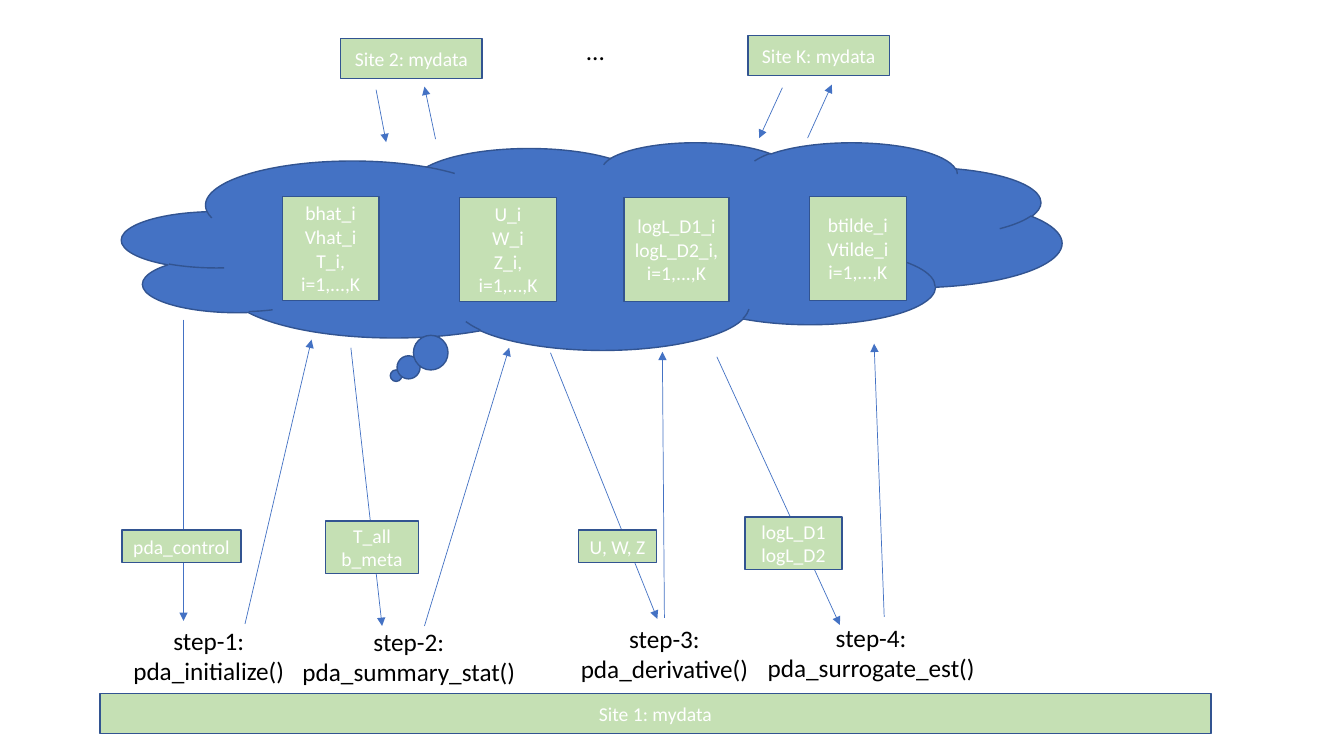
from pptx import Presentation
from pptx.dml.color import RGBColor
from pptx.enum.shapes import MSO_CONNECTOR, MSO_SHAPE
from pptx.enum.text import MSO_ANCHOR, MSO_AUTO_SIZE, PP_ALIGN
from pptx.oxml.ns import qn
from pptx.util import Inches, Pt
from lxml.etree import SubElement

BLUE = RGBColor(0x44, 0x72, 0xC4)
NAVY = RGBColor(0x32, 0x54, 0x91)
GREEN = RGBColor(0xC5, 0xE0, 0xB4)
WHITE = RGBColor(0xFF, 0xFF, 0xFF)
BLACK = RGBColor(0x00, 0x00, 0x00)

# Left, top, width, height, text; "\v" breaks a line within a paragraph
SITES = [
    (0.99, 6.88, 11.02, 0.4, "Site 1: mydata"),
    (3.38, 0.38, 1.4, 0.4, "Site 2: mydata"),
    (7.42, 0.35, 1.4, 0.4, "Site K: mydata"),
]
RESULTS = [
    (2.8, 1.95, 0.96, 1.03, "bhat_i\vVhat_i\vT_i,\ni=1,...,K"),
    (4.56, 1.96, 0.96, 1.03, "U_i\vW_i\vZ_i,\ni=1,...,K"),
    (6.19, 1.96, 1.04, 1.03, "logL_D1_i\vlogL_D2_i,\ni=1,...,K"),
    (8.03, 1.95, 0.96, 1.03, "btilde_i\vVtilde_i\ni=1,...,K"),
]
INPUTS = [
    (1.21, 5.26, 1.18, 0.32, "pda_control"),
    (3.23, 5.17, 0.92, 0.52, "T_all\nb_meta"),
    (5.74, 5.26, 0.77, 0.32, "U, W, Z"),
    (7.39, 5.13, 0.96, 0.52, "logL_D1\nlogL_D2"),
]
LABELS = [
    (1.21, 6.15, 1.72, 0.71, "step-1:\npda_initialize()"),
    (2.89, 6.16, 2.33, 0.71, "step-2:\npda_summary_stat()"),
    (5.65, 6.13, 1.88, 0.71, "step-3:\npda_derivative()"),
    (7.5, 6.12, 2.28, 0.71, "step-4:\npda_surrogate_est()"),
    (5.71, 0.3, 0.39, 0.4, "..."),
]
# Start x, start y, end x, end y
STEP_ARROWS = [
    (1.82, 3.17, 1.82, 6.16), (2.43, 6.19, 3.09, 3.37),
    (3.48, 3.45, 3.79, 6.21), (4.21, 6.21, 5.05, 3.45),
    (5.46, 3.5, 6.52, 6.14), (6.59, 6.13, 6.57, 3.49),
    (7.11, 3.54, 8.33, 6.2), (8.77, 6.12, 8.67, 3.41),
]
SITE_ARROWS = [
    (3.73, 0.89, 3.83, 1.41), (4.32, 1.38, 4.21, 0.86),
    (7.76, 0.87, 7.53, 1.37), (8.01, 1.37, 8.25, 0.84),
]


def write(frame, text, size, color):
    frame.text = text
    for para in frame.paragraphs:
        para.alignment = PP_ALIGN.CENTER
        para.font.name = "Calibri"
        para.font.size = Pt(size)
        para.font.color.rgb = color


def add_block(slide, kind, fill, left, top, width, height):
    block = slide.shapes.add_shape(
        kind, Inches(left), Inches(top), Inches(width), Inches(height))
    block.shadow.inherit = False
    block.fill.solid()
    block.fill.fore_color.rgb = fill
    block.line.color.rgb = NAVY
    block.line.width = Pt(1)
    return block


def add_box(slide, left, top, width, height, text):
    box = add_block(slide, MSO_SHAPE.RECTANGLE, GREEN, left, top, width, height)
    box.text_frame.vertical_anchor = MSO_ANCHOR.MIDDLE
    write(box.text_frame, text, 14, WHITE)


def add_label(slide, left, top, width, height, text):
    label = slide.shapes.add_textbox(
        Inches(left), Inches(top), Inches(width), Inches(height))
    frame = label.text_frame
    frame.word_wrap = False
    frame.auto_size = MSO_AUTO_SIZE.SHAPE_TO_FIT_TEXT
    write(frame, text, 18, BLACK)


def add_arrow(slide, x1, y1, x2, y2):
    arrow = slide.shapes.add_connector(
        MSO_CONNECTOR.STRAIGHT, Inches(x1), Inches(y1), Inches(x2), Inches(y2))
    arrow.line.color.rgb = BLUE
    arrow.line.width = Pt(0.5)
    SubElement(arrow.line._get_or_add_ln(), qn("a:tailEnd"), type="triangle")
    SubElement(arrow._element.spPr, qn("a:effectLst"))


def main():
    deck = Presentation()
    deck.slide_width = Inches(13.33)
    deck.slide_height = Inches(7.5)
    slide = deck.slides.add_slide(deck.slide_layouts[6])

    add_block(slide, MSO_SHAPE.CLOUD_CALLOUT, BLUE, 1.21, 1.41, 9.32, 2.06)
    for ends in STEP_ARROWS + SITE_ARROWS:
        add_arrow(slide, *ends)
    for box in SITES + RESULTS + INPUTS:
        add_box(slide, *box)
    for label in LABELS:
        add_label(slide, *label)

    deck.save("out.pptx")


if __name__ == "__main__":
    main()
